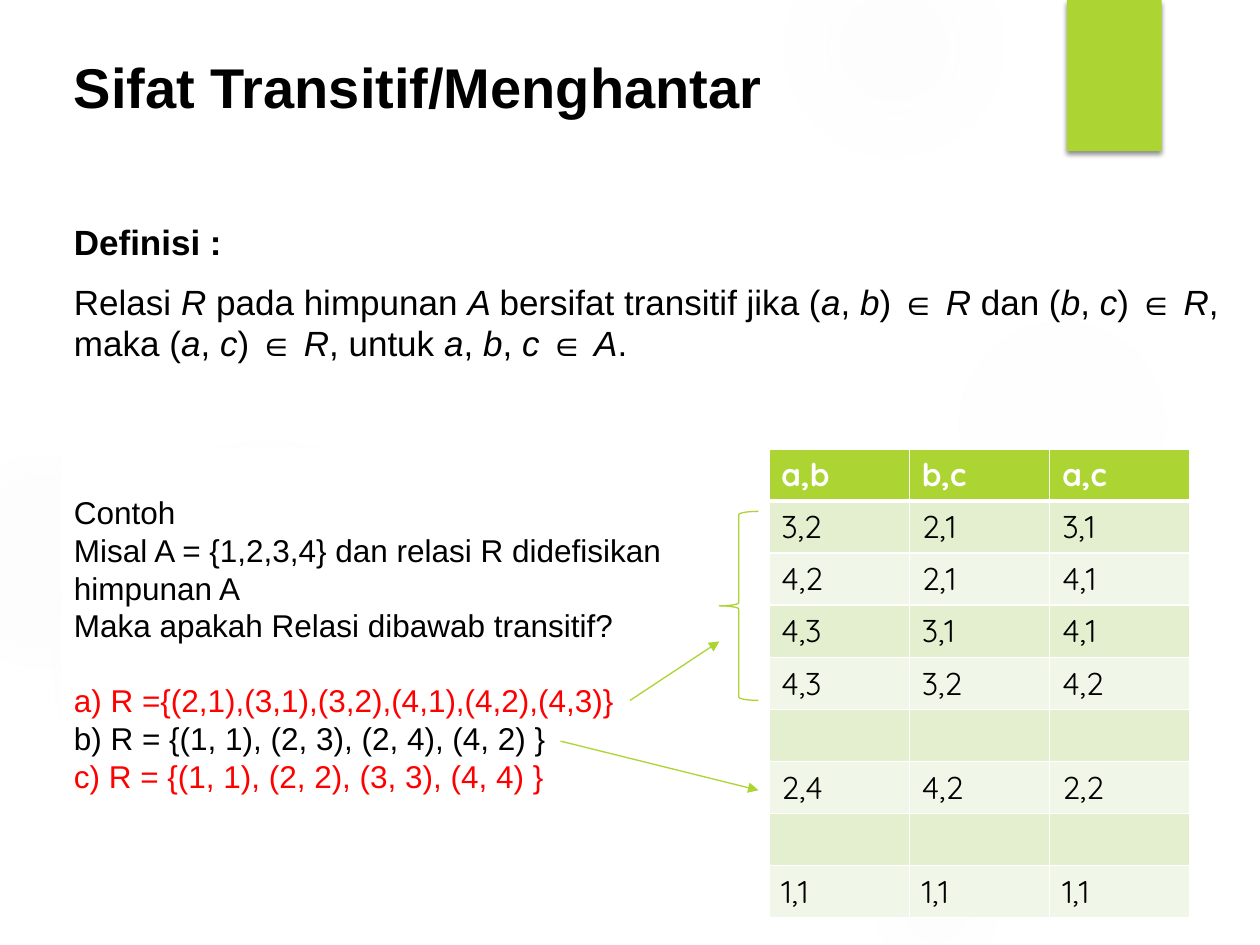
from dataclasses import dataclass

from lxml import etree
from pptx import Presentation
from pptx.dml.color import RGBColor
from pptx.enum.shapes import MSO_CONNECTOR, MSO_SHAPE
from pptx.enum.text import MSO_ANCHOR, PP_ALIGN
from pptx.oxml import parse_xml
from pptx.oxml.ns import nsdecls, qn
from pptx.util import Cm, Pt

RECT = MSO_SHAPE.RECTANGLE
OVAL = MSO_SHAPE.OVAL
BRACE = MSO_SHAPE.LEFT_BRACE
LINE = MSO_CONNECTOR.STRAIGHT
TOP, MIDDLE = MSO_ANCHOR.TOP, MSO_ANCHOR.MIDDLE
LEFT = PP_ALIGN.LEFT


@dataclass(frozen=True)
class Theme:
    black: str = "000000"
    white: str = "FFFFFF"
    red: str = "FF0000"
    green: str = "ACD433"
    mist: str = "F7F7F7"
    bands: tuple = ("E3EFCE", "F1F7E8")
    font: str = "Arial"
    grid_font: str = "Quicksand"
    title: float = 32
    body: float = 20
    small: float = 18
    thin: float = 0.75


class Deck:
    def __init__(self, theme):
        self.theme = theme
        self.prs = Presentation()
        self.prs.slide_width, self.prs.slide_height = Cm(25.4), Cm(19.05)
        self.slide = self.prs.slides.add_slide(self.prs.slide_layouts[6])

    def shape(self, kind, box, fill=None, line=None):
        item = self.slide.shapes.add_shape(kind, *map(Cm, box))
        item.shadow.inherit = False
        if fill:
            item.fill.solid()
            item.fill.fore_color.rgb = RGBColor.from_string(fill)
        else:
            item.fill.background()
        if line:
            self.stroke(item, line)
        else:
            item.line.fill.background()
        return item

    def stroke(self, item, color):
        item.line.color.rgb = RGBColor.from_string(color)
        item.line.width = Pt(self.theme.thin)

    def glow(self, box, stops):
        """Draw a faint circle that fades out; stops are (place, opacity)."""
        item = self.shape(OVAL, box, self.theme.mist)
        marks = "".join(
            f'<a:gs pos="{pos * 1000}"><a:srgbClr val="{self.theme.mist}">'
            f'<a:alpha val="{alpha * 1000}"/></a:srgbClr></a:gs>'
            for pos, alpha in stops)
        fade = parse_xml(
            f'<a:gradFill {nsdecls("a")}><a:gsLst>{marks}</a:gsLst>'
            '<a:path path="circle"><a:fillToRect l="50000" t="50000" '
            'r="50000" b="50000"/></a:path></a:gradFill>')
        props = item._element.spPr
        props.replace(props.find(qn("a:solidFill")), fade)

    def shade(self, item):
        effect = item._element.spPr.find(qn("a:effectLst"))
        effect.append(parse_xml(
            f'<a:outerShdw {nsdecls("a")} blurRad="38100" dist="25400" '
            f'dir="5400000" rotWithShape="0"><a:srgbClr val="{self.theme.black}">'
            '<a:alpha val="45000"/></a:srgbClr></a:outerShdw>'))

    def style(self, run, size, color, bold=False, font=None):
        run.font.name = font or self.theme.font
        run.font.size = Pt(size)
        run.font.bold = bold
        run.font.color.rgb = RGBColor.from_string(color)

    def text(self, frame, rows, anchor, head=0.13, foot=0.13):
        """Rows are (text, size, color, bold, gap before); *...* is italic."""
        frame.word_wrap = True
        frame.vertical_anchor = anchor
        frame.margin_top, frame.margin_bottom = Cm(head), Cm(foot)
        for i, (words, size, color, bold, gap) in enumerate(rows):
            para = frame.add_paragraph() if i else frame.paragraphs[0]
            para.alignment = LEFT
            para.line_spacing = Pt(round(size * 1.195, 1))
            para.space_before = Pt(gap)
            for j, part in enumerate(words.split("*")):
                if part:
                    run = para.add_run()
                    run.text = part
                    self.style(run, size, color, bold)
                    run.font.italic = j % 2 == 1

    def label(self, box, rows, **inset):
        item = self.slide.shapes.add_textbox(*map(Cm, box))
        self.text(item.text_frame, rows, TOP, **inset)

    def arrow(self, start, end):
        item = self.slide.shapes.add_connector(LINE, *map(Cm, start + end))
        self.stroke(item, self.theme.green)
        etree.SubElement(item.line._get_or_add_ln(), qn("a:tailEnd"), type="triangle")
        etree.SubElement(item._element.spPr, qn("a:effectLst"))

    def edge(self, cell, side, width):
        props = cell._tc.get_or_add_tcPr()
        line = etree.SubElement(props, qn(f"a:ln{side}"), w=str(Pt(width)))
        fill = etree.SubElement(line, qn("a:solidFill"))
        etree.SubElement(fill, qn("a:srgbClr"), val=self.theme.white)

    def table(self, left, top, wide, high, rows):
        theme = self.theme
        count = len(rows[0])
        grid = self.slide.shapes.add_table(
            len(rows), count, Cm(left), Cm(top),
            Cm(wide * count), Cm(high * len(rows))).table
        for i, row in enumerate(rows):
            grid.rows[i].height = Cm(high)
            for j, words in enumerate(row):
                cell = grid.cell(i, j)
                # Edges come before the fill in the cell's properties
                for side in "LRTB":
                    thick = (i, side) in ((0, "B"), (1, "T"))
                    self.edge(cell, side, 3 if thick else 1)
                cell.fill.solid()
                back = theme.bands[(i - 1) % 2] if i else theme.green
                cell.fill.fore_color.rgb = RGBColor.from_string(back)
                para = cell.text_frame.paragraphs[0]
                para.font.size = Pt(theme.small)
                if words:
                    para.text = words
                    self.style(para.runs[0], theme.small,
                               theme.black if i else theme.white,
                               not i, theme.grid_font)


def main():
    theme = Theme()
    deck = Deck(theme)

    # Faint circles behind the slide: left, top, size, fade
    for left, top, size, stops in (
        (17.5, 4.65, 7.82, ((0, 7), (36, 6), (69, 0))),
        (15.8, -1.27, 4.45, ((0, 14), (36, 7), (73, 0))),
        (17.5, 16.94, 2.74, ((0, 14), (36, 7), (66, 0))),
        (-0.43, 7.42, 11.63, ((0, 11), (36, 10), (75, 0))),
        (-2.34, 8.05, 6.55, ((0, 8), (36, 8), (72, 0))),
    ):
        deck.glow((left, top, size, size), stops)

    # Green tab
    deck.shade(deck.shape(RECT, (21.51, 0, 1.91, 3.05), theme.green))

    # Title and definition
    deck.label((1.24, 0.91, 23.85, 7.01), (
        ("Sifat Transitif/Menghantar", theme.title, theme.black, True, 0),
        ("Definisi :", theme.body, theme.black, True, 58),
        ("Relasi *R *pada himpunan *A *bersifat transitif jika (*a*, *b*) ∈ *R *"
         "dan (*b*, *c*) ∈ *R*, maka (*a*, *c*) ∈ *R*, untuk *a*, *b*, *c *∈ *A*.",
         theme.body, theme.black, False, 10),
    ), head=0.15)

    # Table of pairs
    deck.table(15.5, 9.05, 2.83, 1.05, (
        ("a,b", "b,c", "a,c"),
        ("3,2", "2,1", "3,1"),
        ("4,2", "2,1", "4,1"),
        ("4,3", "3,1", "4,1"),
        ("4,3", "3,2", "4,2"),
        ("", "", ""),
        ("2,4", "4,2", "2,2"),
        ("", "", ""),
        ("1,1", "1,1", "1,1"),
    ))

    # Example
    panel = deck.shape(RECT, (1.24, 9.02, 13.26, 8.69), theme.white)
    deck.text(panel.text_frame, [
        (words, theme.small, color, False, gap) for words, color, gap in (
            ("Contoh", theme.black, 0),
            ("Misal A = {1,2,3,4} dan relasi R didefisikan himpunan A", theme.black, 0),
            ("Maka apakah Relasi dibawab transitif?", theme.black, 0),
            ("a) R ={(2,1),(3,1),(3,2),(4,1),(4,2),(4,3)}", theme.red, 21.5),
            ("b) R = {(1, 1), (2, 3), (2, 4), (4, 2) }", theme.black, 0),
            ("c) R = {(1, 1), (2, 2), (3, 3), (4, 4) }", theme.red, 0),
        )], MIDDLE, foot=0.89)

    # Links from the example to the table
    deck.arrow((11.3, 14.94), (15.29, 15.93))
    deck.arrow((12.7, 14.12), (14.5, 12.93))
    deck.shape(BRACE, (14.5, 10.31, 0.79, 3.81), line=theme.green)

    deck.prs.save("out.pptx")


if __name__ == "__main__":
    main()
